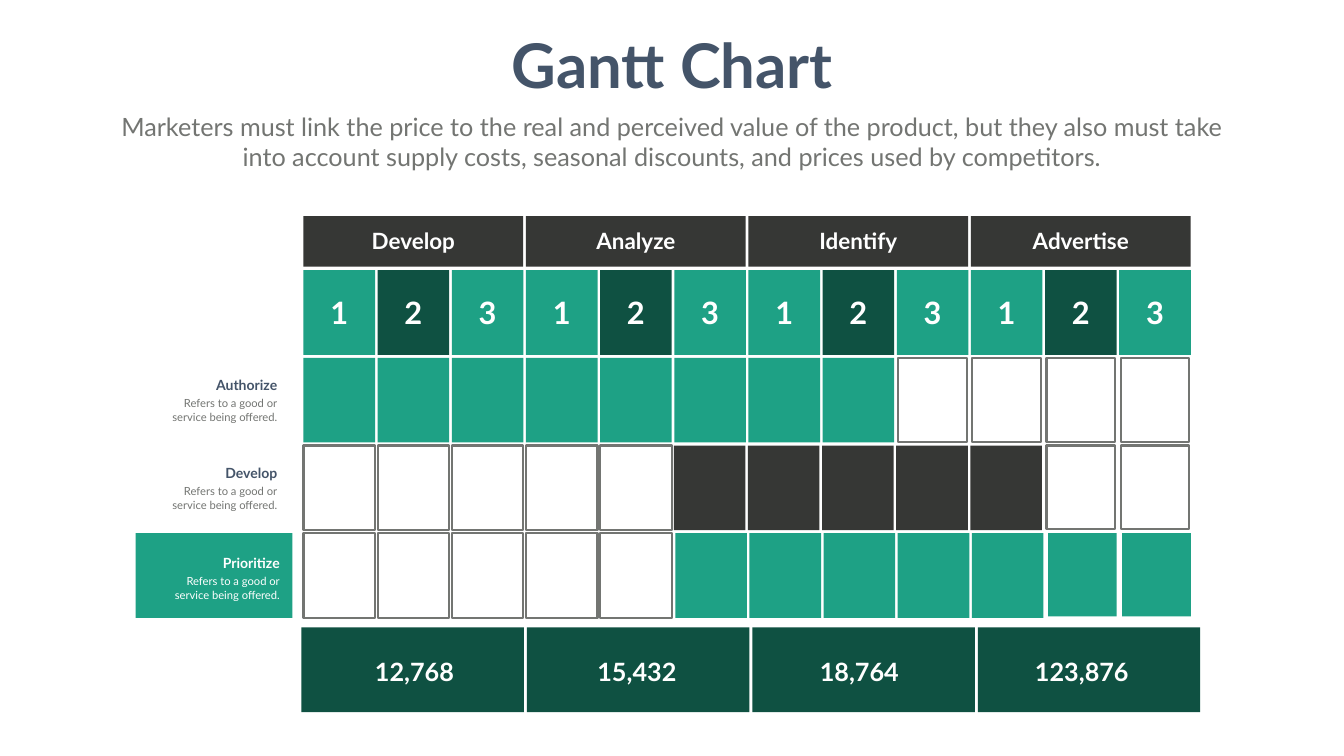
from pptx import Presentation
from pptx.dml.color import RGBColor
from pptx.enum.shapes import MSO_SHAPE
from pptx.enum.text import MSO_AUTO_SIZE, PP_ALIGN
from pptx.util import Inches, Pt

RECT = MSO_SHAPE.RECTANGLE
GROW = MSO_AUTO_SIZE.SHAPE_TO_FIT_TEXT
CENTER, RIGHT = PP_ALIGN.CENTER, PP_ALIGN.RIGHT

GREEN = RGBColor(0x1E, 0xA1, 0x85)
DEEP = RGBColor(0x0F, 0x51, 0x42)
DARK = RGBColor(0x36, 0x37, 0x35)
GRAY = RGBColor(0x73, 0x75, 0x72)
NAVY = RGBColor(0x44, 0x54, 0x69)
WHITE = RGBColor(0xFF, 0xFF, 0xFF)

# Grid: twelve columns in four phases of three
LEFT, PITCH = 6.02, 1.471
CELL_W, CELL_H = 1.42, 1.68
PHASE_W = 4.36


def write(tf, text, size=16, color=WHITE, bold=False, align=CENTER, font="Lato"):
    """Write each line of text as a paragraph in one format."""
    for i, line in enumerate(text.split("\n")):
        p = tf.paragraphs[0] if i == 0 else tf.add_paragraph()
        p.alignment = align
        r = p.add_run()
        r.text = line
        r.font.name = font
        r.font.size = Pt(size)
        r.font.bold = bold
        r.font.color.rgb = color


class Gantt:
    outline = GRAY
    outline_width = Pt(3)

    def __init__(self, slide):
        self.s = slide

    def box(self, x, y, w, h, fill=None):
        """Solid rectangle, or an empty outlined one when fill is None."""
        sp = self.s.shapes.add_shape(RECT, Inches(x), Inches(y), Inches(w), Inches(h))
        sp.shadow.inherit = False
        if fill is None:
            sp.fill.background()
            sp.line.color.rgb = self.outline
            sp.line.width = self.outline_width
        else:
            sp.fill.solid()
            sp.fill.fore_color.rgb = fill
            sp.line.fill.background()

    def text(self, x, y, w, h, text, wrap=False, **fmt):
        tb = self.s.shapes.add_textbox(Inches(x), Inches(y), Inches(w), Inches(h))
        tf = tb.text_frame
        tf.word_wrap = wrap
        tf.auto_size = GROW
        write(tf, text, **fmt)

    def centered(self, cx, y, w, h, text, size):
        self.text(cx - w / 2, y, w, h, text, size=size, bold=True)

    def cells(self, y, start, count, fill=None, dx=0, w=CELL_W, h=CELL_H):
        for col in range(start, start + count):
            self.box(LEFT + col * PITCH + dx, y, w, h, fill)

    def row_label(self, right, y, name, name_w, name_color, note_color):
        self.text(right - 2.33, y + 0.4, 2.33, 0.64,
                  "Refers to a good or\nservice being offered.",
                  wrap=True, color=note_color, align=RIGHT)
        self.text(right - name_w, y, name_w, 0.44, name,
                  size=20, color=name_color, bold=True, align=RIGHT)


def main():
    prs = Presentation()
    prs.slide_width, prs.slide_height = Inches(26.66), Inches(15)
    g = Gantt(prs.slides.add_slide(prs.slide_layouts[6]))

    # Title and subtitle
    g.text(9.97, 0.49, 6.73, 1.58, "Gantt Chart", size=88, color=NAVY, bold=True)
    g.text(2.22, 2.15, 22.21, 1.31,
           "Marketers must link the price to the real and perceived value of the "
           "product, but they also must take into account supply costs, seasonal "
           "discounts, and prices used by competitors.",
           wrap=True, size=36, color=GRAY)

    # Row labels, the last one highlighted
    g.box(2.69, 10.58, 3.11, CELL_H, GREEN)
    g.row_label(5.6, 7.42, "Authorize", 1.43, NAVY, GRAY)
    g.row_label(5.6, 9.17, "Develop", 1.25, NAVY, GRAY)
    g.row_label(5.65, 10.95, "Prioritize", 1.35, WHITE, WHITE)

    # Phase headers and totals
    phases = [("Develop", 1.88, "12,768", 1.78), ("Analyze", 1.79, "15,432", 1.78),
              ("Identify", 1.76, "18,764", 1.78), ("Advertise", 2.13, "123,876", 2.08)]
    for i, (name, name_w, total, total_w) in enumerate(phases):
        x = LEFT + 3 * i * PITCH
        cx = x + PHASE_W / 2
        g.box(x, 4.29, PHASE_W, 1, DARK)
        g.centered(cx, 4.45, name_w, 0.64, name, 32)
        g.box(5.98 + i * 4.473, 12.45, 4.41, CELL_H, DEEP)
        g.centered(cx + 0.02, 12.97, total_w, 0.71, total, 36)

    # Numbered columns
    for col in range(12):
        g.cells(5.36, col, 1, DEEP if col % 3 == 1 else GREEN)
        g.centered(LEFT + col * PITCH + CELL_W / 2, 5.78, 0.56, 0.84,
                   str(col % 3 + 1), 44)

    # Authorize
    g.cells(7.1, 8, 4, dx=0.03, w=1.36, h=1.67)
    g.cells(7.1, 0, 8, GREEN)

    # Develop
    g.cells(8.84, 10, 2, dx=0.03, w=1.36, h=1.65)
    g.cells(8.84, 5, 5, DARK, dx=-0.01)
    g.cells(8.84, 0, 5)

    # Prioritize
    g.cells(10.58, 10, 2, GREEN, dx=0.06, w=1.36, h=1.65)
    g.cells(10.58, 5, 5, GREEN, dx=0.02)
    g.cells(10.58, 0, 5)

    prs.save("out.pptx")


if __name__ == "__main__":
    main()
